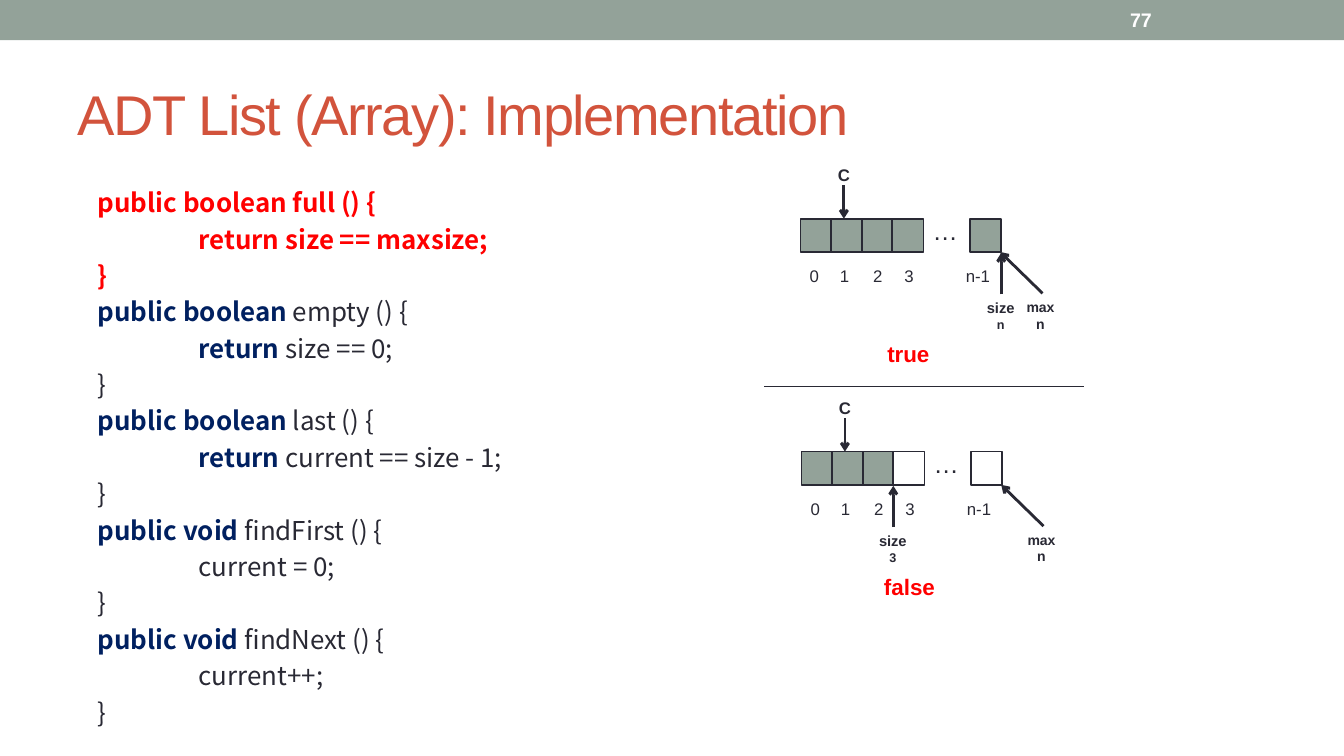
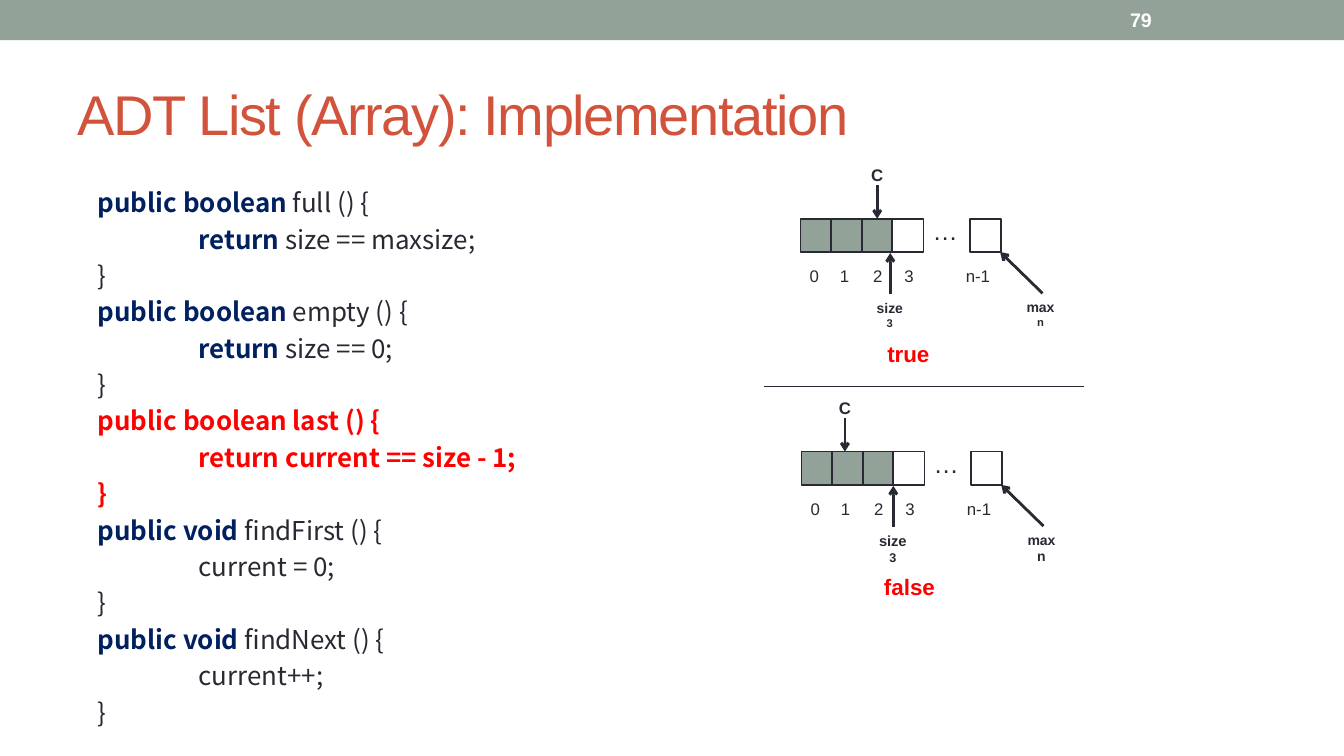
"""Build two slides on the array implementation of a list."""
from pptx import Presentation
from pptx.dml.color import RGBColor
from pptx.enum.shapes import MSO_CONNECTOR, MSO_SHAPE
from pptx.enum.text import MSO_ANCHOR, MSO_AUTO_SIZE, PP_ALIGN
from pptx.oxml.ns import qn
from pptx.util import Inches, Pt
from lxml.etree import SubElement

hue = RGBColor.from_string
SAGE, INK, RUST = "93A299", "292934", "D2533C"
NAVY, RED, WHITE = "002060", "FF0000", "FFFFFF"
SANS, MONO = "Arial", "Noto Sans CJK SC"

TITLE = "ADT List (Array): Implementation"
CODE = [
    ("public boolean ", "full () {"), ("return", " size == maxsize;"), ("", "}"),
    ("public boolean ", "empty () {"), ("return", " size == 0;"), ("", "}"),
    ("public boolean ", "last () {"), ("return", " current == size - 1;"), ("", "}"),
    ("public void ", "findFirst () {"), ("", "current = 0;"), ("", "}"),
    ("public void ", "findNext () {"), ("", "current++;"), ("", "}"),
]
CELLS = [0, 0.3, 0.61, 0.91, 1.68]
MARKS = [("0", 0, 0.29), ("1", 0.3, 0.29), ("2", 0.63, 0.29),
         ("3", 0.94, 0.29), ("n-1", 1.55, 0.44)]

LOW = dict(left=7.95, top=4.48, used=3, cur=0.43, end=0.91, size="3",
           small=(10.5, 9), big=(10, 10), answer="false")
FULL = dict(left=7.94, top=2.17, used=5, cur=0.43, end=1.99, size="n",
            small=(10.5, 9), big=(10, 10), answer="true")
LAST = dict(left=7.94, top=2.17, used=3, cur=0.76, end=0.89, size="3",
            small=(10, 8), big=(10, 8), answer="true")
SLIDES = [("77", 0, [FULL, LOW]), ("79", 2, [LAST, LOW])]


def label(slide, x, y, w, h, text, sizes, color=INK, bold=True):
    box = slide.shapes.add_textbox(Inches(x), Inches(y), Inches(w), Inches(h))
    frame = box.text_frame
    frame.text = text
    frame.word_wrap = False
    frame.auto_size = MSO_AUTO_SIZE.SHAPE_TO_FIT_TEXT
    for para, size in zip(frame.paragraphs, sizes):
        para.alignment = PP_ALIGN.CENTER
        font = para.runs[0].font
        font.name, font.size, font.bold = SANS, Pt(size), bold
        font.color.rgb = hue(color)
    return box


def stroke(slide, x1, y1, x2, y2, width=2, arrow=True):
    line = slide.shapes.add_connector(
        MSO_CONNECTOR.STRAIGHT, Inches(x1), Inches(y1), Inches(x2), Inches(y2))
    line.line.color.rgb = hue(INK)
    line.line.width = Pt(width)
    props = line.element.spPr
    if arrow:
        SubElement(props.find(qn("a:ln")), qn("a:tailEnd"), type="arrow")
    SubElement(props, qn("a:effectLst"))


prs = Presentation()
prs.slide_width, prs.slide_height = Inches(13.33), Inches(7.5)
layout = prs.slide_layouts[1]
for spot, top, high in zip(layout.placeholders, (0.58, 1.75), (1.08, 5.52)):
    spot.left, spot.top = Inches(0.67), Inches(top)
    spot.width, spot.height = Inches(12), Inches(high)

for number, hot, panels in SLIDES:
    slide = prs.slides.add_slide(layout)
    if number == SLIDES[0][0]:
        band = slide.shapes.add_shape(
            MSO_SHAPE.RECTANGLE, 0, 0, prs.slide_width, Inches(0.4))
        band.shadow.inherit = False
        band.fill.solid()
        band.fill.fore_color.rgb = hue(SAGE)
        band.line.fill.background()
        layout.shapes.element.insert(2, band.element)

    frame = slide.shapes.title.text_frame
    frame.text = TITLE
    frame.vertical_anchor = MSO_ANCHOR.MIDDLE
    frame.auto_size = MSO_AUTO_SIZE.NONE
    para = frame.paragraphs[0]
    para.alignment = PP_ALIGN.LEFT
    run = para.runs[0]
    run.font.name, run.font.size = SANS, Pt(40)
    run.font.color.rgb = hue(RUST)
    run.font._element.set("spc", "-100")

    frame = slide.placeholders[1].text_frame
    frame.text = "\n".join(word or rest for word, rest in CODE)
    frame.auto_size = MSO_AUTO_SIZE.NONE
    for i, (para, (word, rest)) in enumerate(zip(frame.paragraphs, CODE)):
        props = para._p.get_or_add_pPr()
        props.set("marL", str(Inches(1.2 if i % 3 == 1 else 0.2)))
        props.set("indent", "0")
        SubElement(props, qn("a:buNone"))
        para.space_before, para.line_spacing = Pt(0), Pt(26)
        if word:
            para.add_run().text = rest
        for run in para.runs:
            lit, key = i // 3 == hot, run.text == word
            run.font.name, run.font.size = MONO, Pt(18.5)
            run.font.bold = lit or key
            run.font.color.rgb = hue(RED if lit else NAVY if key else INK)

    box = label(slide, 11.11, 0.02, 1.56, 0.36, number, [14], WHITE)
    box.text_frame.word_wrap = True
    box.text_frame.auto_size = MSO_AUTO_SIZE.NONE
    box.text_frame.vertical_anchor = MSO_ANCHOR.MIDDLE
    box.text_frame.paragraphs[0].alignment = PP_ALIGN.LEFT

    for panel in panels:
        left, top = panel["left"], panel["top"]
        for i, x in enumerate(CELLS):
            cell = slide.shapes.add_shape(
                MSO_SHAPE.RECTANGLE, Inches(left + x), Inches(top),
                Inches(0.31), Inches(0.33))
            cell.shadow.inherit = False
            cell.fill.solid()
            cell.fill.fore_color.rgb = hue(SAGE if i < panel["used"] else WHITE)
            cell.line.color.rgb = hue(INK)
            cell.line.width = Pt(1.25)
        label(slide, left + 1.21, top - 0.08, 0.45, 0.4, "…", [18], bold=False)
        for text, x, w in MARKS:
            label(slide, left + x - 0.01, top + 0.42, w, 0.3, text, [12], bold=False)
        cur, end = left + panel["cur"], left + panel["end"]
        stroke(slide, cur, top - 0.33, cur, top)
        label(slide, cur - 0.16, top - 0.58, 0.32, 0.3, "C", [12])
        stroke(slide, end, top + 0.75, end, top + 0.34)
        label(slide, end - 0.25, top + 0.75, 0.49, 0.43,
              "size\n" + panel["size"], panel["small"])
        stroke(slide, left + 2.4, top + 0.74, left + 1.98, top + 0.33)
        label(slide, left + 2.13, top + 0.74, 0.5, 0.43, "max\nn", panel["big"])
        label(slide, left + 0.57, top + 1.16, 1, 0.37, panel["answer"], [16], RED)
    stroke(slide, 7.58, 3.83, 10.75, 3.83, 0.75, False)

prs.save("out.pptx")
